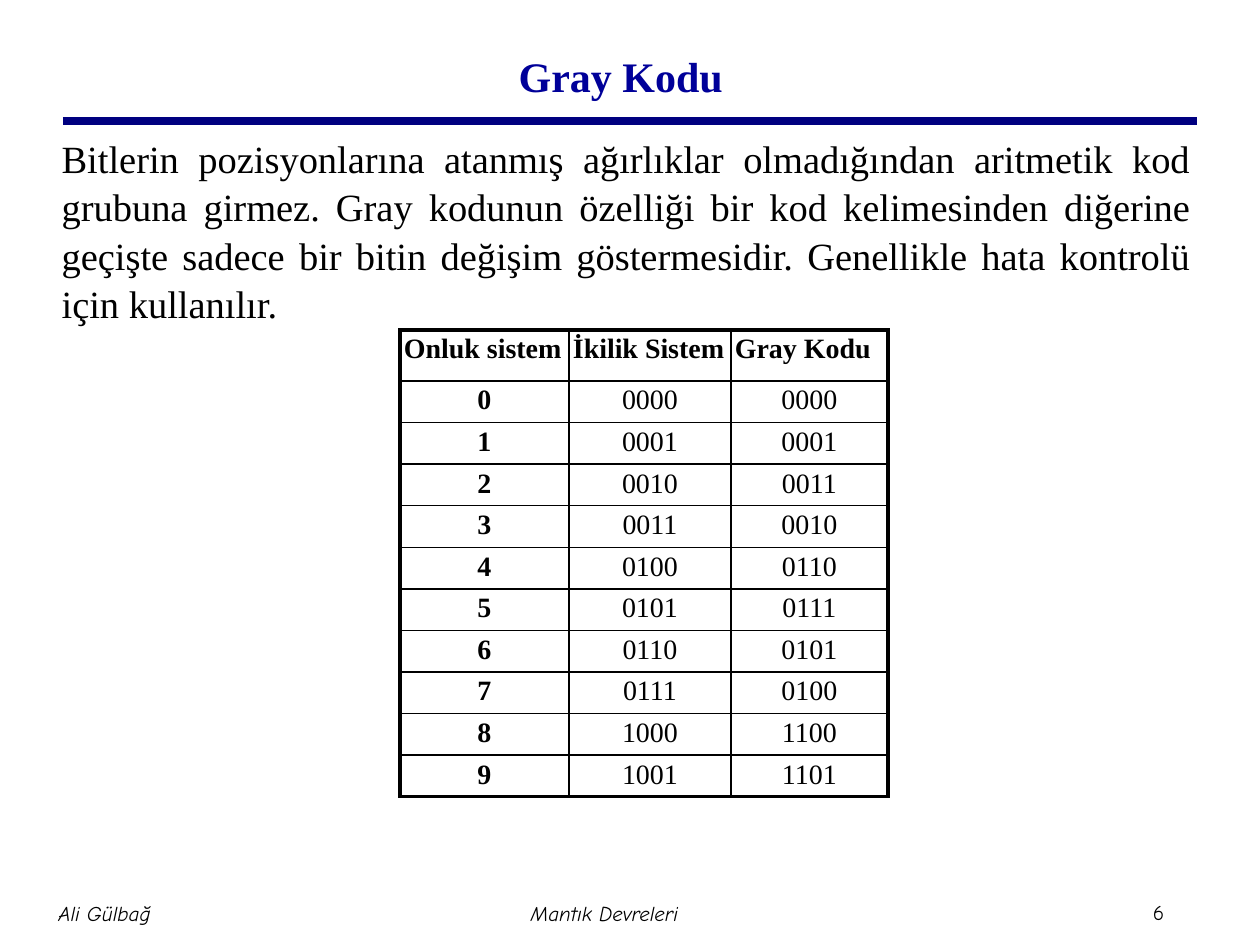
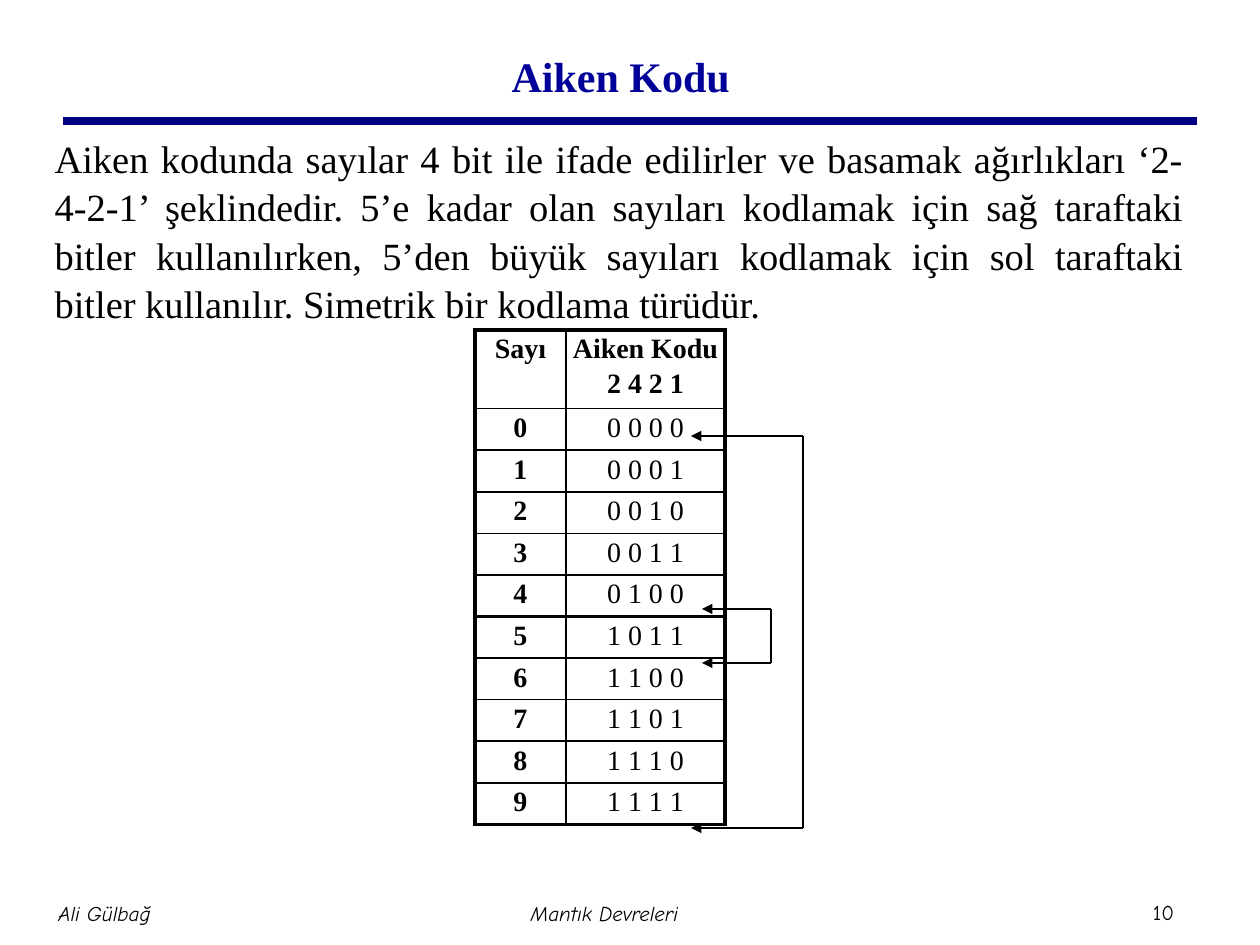
from lxml.etree import SubElement
from pptx import Presentation
from pptx.dml.color import RGBColor as Rgb
from pptx.enum.shapes import MSO_CONNECTOR as Conn
from pptx.enum.text import MSO_ANCHOR as Anchor, MSO_AUTO_SIZE as Auto, PP_ALIGN as Align
from pptx.oxml.ns import qn
from pptx.util import Pt

PX = 914400 // 126
HUES = {"rule": "000080", "title": "000099", "ink": "000000"}
SERIF, HAND = "Times New Roman", "Comic Neue"
THIN, THICK = 1, 2.25

FOOT = [
    ("Ali Gülbağ", (-121, 882, 451, 63)),
    ("Mantık Devreleri", (379, 882, 451, 63)),
]

GRAY = ["0000", "0001", "0011", "0010", "0110", "0111", "0101", "0100", "1100", "1101"]
AIKEN = ["0000", "0001", "0010", "0011", "0100", "1011", "1100", "1101", "1110", "1111"]

SLIDES = [
    {
        "title": "Gray Kodu",
        "page": "6",
        "left": 49,
        "body": "Bitlerin pozisyonlarına atanmış ağırlıklar olmadığından aritmetik kod "
                "grubuna girmez. Gray kodunun özelliği bir kod kelimesinden diğerine "
                "geçişte sadece bir bitin değişim göstermesidir. Genellikle hata kontrolü "
                "için kullanılır.",
        "head": ["Onluk sistem", "İkilik Sistem", "Gray Kodu"],
        "align": Align.LEFT,
        "rows": [[str(n), f"{n:04b}", code] for n, code in enumerate(GRAY)],
        "at": (400, 330),
        "cols": [169, 162, 157],
        "top": 51,
        "split": None,
        "links": [],
    },
    {
        "title": "Aiken Kodu",
        "page": "10",
        "left": 42,
        "body": "Aiken kodunda sayılar 4 bit ile ifade edilirler ve basamak ağırlıkları "
                "‘2-4-2-1’ şeklindedir. 5’e kadar olan sayıları kodlamak için sağ taraftaki "
                "bitler kullanılırken, 5’den büyük sayıları kodlamak için sol taraftaki "
                "bitler kullanılır. Simetrik bir kodlama türüdür.",
        "head": ["Sayı", "Aiken Kodu\n2 4 2 1"],
        "align": Align.CENTER,
        "rows": [[str(n), " ".join(code)] for n, code in enumerate(AIKEN)],
        "at": (475, 330),
        "cols": [91, 159],
        "top": 78,
        "split": 5,
        "links": [(803, 691, 436, 828), (771, 702, 609, 663)],
    },
]
STEP = 41


def place(shape, *box):
    shape.left, shape.top, shape.width, shape.height = [v * PX for v in box]


def write(para, text, size, hue="ink", face=SERIF, bold=False, slant=False):
    run = para.add_run()
    run.text = text
    font = run.font
    font.name, font.size, font.bold, font.italic = face, Pt(size), bold, slant
    font.color.rgb = Rgb.from_string(HUES[hue])


def pad(frame, gap):
    frame.margin_left = frame.margin_right = gap * PX
    frame.margin_top = frame.margin_bottom = gap * PX


def draw(slide, start, end, width, hue="ink", arrow=False):
    ends = [v * PX for v in (*start, *end)]
    line = slide.shapes.add_connector(Conn.STRAIGHT, *ends)
    line.line.width = Pt(width)
    line.line.color.rgb = Rgb.from_string(HUES[hue])
    props = line.line._get_or_add_ln()
    if arrow:
        SubElement(props, qn("a:tailEnd"), type="triangle")
    SubElement(props.getparent(), qn("a:effectLst"))


def label(slide, text, box, align, slant):
    shape = slide.shapes.add_textbox(*[v * PX for v in box])
    frame = shape.text_frame
    frame.word_wrap = True
    frame.vertical_anchor = Anchor.MIDDLE
    pad(frame, 6)
    para = frame.paragraphs[0]
    para.alignment = align
    write(para, text, 12, face=HAND, slant=slant)


def frame_slide(slide, data):
    draw(slide, (63, 121), (1197, 121), 4.5, "rule")
    label(slide, data["page"], (1147, 893, 59, 38), Align.LEFT, False)
    for text, box in FOOT:
        label(slide, text, box, Align.CENTER, True)

    title = slide.shapes.title
    place(title, 94, 10, 1071, 108)
    title.text_frame.vertical_anchor = Anchor.MIDDLE
    title.text_frame.auto_size = Auto.NONE
    para = title.text_frame.paragraphs[0]
    para.alignment = Align.CENTER
    write(para, data["title"], 24, "title", bold=True)
    write(para, " ", 40, "title")

    body = slide.placeholders[1]
    place(body, data["left"], 126, 1154, 699)
    body.text_frame.auto_size = Auto.NONE
    para = body.text_frame.paragraphs[0]
    props = para._p.get_or_add_pPr()
    props.set("marL", "0")
    props.set("indent", "0")
    SubElement(props, qn("a:buNone"))
    para.alignment = Align.JUSTIFY
    para.space_before = Pt(0)
    para.line_spacing = 1.05
    write(para, data["body"], 22)


def edge(cell, sides):
    props = cell._tc.get_or_add_tcPr()
    for name, width in zip(("lnL", "lnR", "lnT", "lnB"), sides):
        line = SubElement(props, qn("a:" + name), w=str(Pt(width)))
        fill = SubElement(line, qn("a:solidFill"))
        SubElement(fill, qn("a:srgbClr"), val=HUES["ink"])


def fill_table(slide, data):
    rows = [data["head"]] + data["rows"]
    cols = data["cols"]
    tall = [data["top"]] + [STEP] * len(data["rows"])
    box = (*data["at"], sum(cols), sum(tall))
    table = slide.shapes.add_table(len(rows), len(cols), *[v * PX for v in box]).table
    table.first_row = table.horz_banding = False
    for col, width in zip(table.columns, cols):
        col.width = width * PX
    for row, height in zip(table.rows, tall):
        row.height = height * PX

    heavy = {0, len(rows)}
    if data["split"]:
        heavy.add(data["split"] + 1)
    for r, row in enumerate(rows):
        for c, text in enumerate(row):
            cell = table.cell(r, c)
            pad(cell, 4)
            edge(cell, [THICK if hit else THIN for hit in
                        (c == 0, c == len(cols) - 1, r in heavy, r + 1 in heavy)])
            cell.fill.background()
            frame = cell.text_frame
            for n, part in enumerate(text.split("\n")):
                para = frame.add_paragraph() if n else frame.paragraphs[0]
                para.alignment = Align.CENTER if r else data["align"]
                para.space_before = Pt(2 if n else 0)
                write(para, part, 16, bold=r == 0 or c == 0)


def main():
    deck = Presentation()
    deck.slide_width, deck.slide_height = 1260 * PX, 945 * PX
    for data in SLIDES:
        slide = deck.slides.add_slide(deck.slide_layouts[1])
        frame_slide(slide, data)
        fill_table(slide, data)
        for spine, tip, top, base in data["links"]:
            draw(slide, (spine, top), (spine, base), 0.75)
            for y in (top, base):
                draw(slide, (spine, y), (tip, y), 0.75, arrow=True)
    deck.save("out.pptx")


if __name__ == "__main__":
    main()
